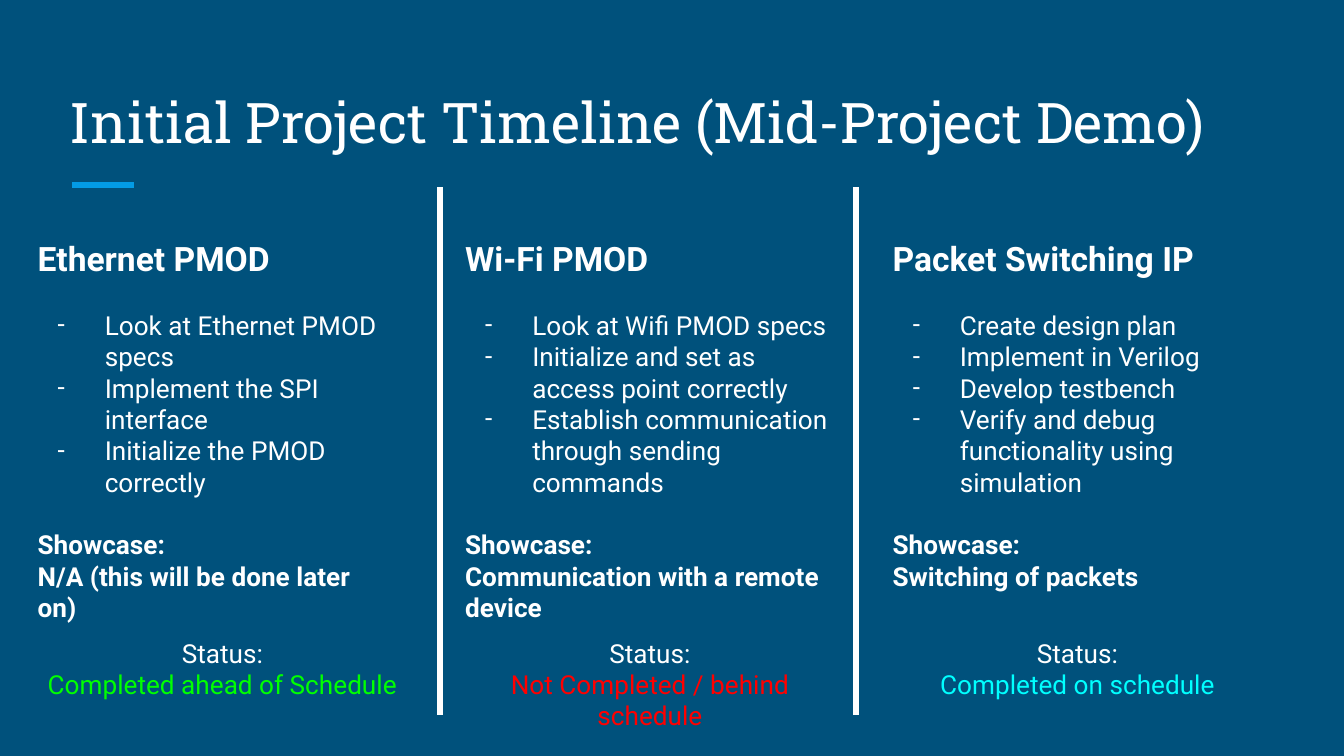
from lxml.etree import SubElement
from pptx import Presentation
from pptx.dml.color import RGBColor
from pptx.enum.shapes import MSO_CONNECTOR
from pptx.enum.text import MSO_ANCHOR, MSO_AUTO_SIZE, PP_ALIGN
from pptx.oxml.ns import qn
from pptx.util import Cm, Pt

WHITE = "FFFFFF"
LINE_GAP = 16.8  # one line of 14 pt text

# Heading, tasks, showcase, status, status colour, body width and height
COLUMNS = [
    ("Ethernet PMOD",
     ["Look at Ethernet PMOD specs", "Implement the SPI interface",
      "Initialize the PMOD correctly"],
     "N/A (this will be done later on)",
     "Completed ahead of Schedule", "00FF00", 7.26, 7.54),
    ("Wi-Fi PMOD",
     ["Look at Wifi PMOD specs", "Initialize and set as access point correctly",
      "Establish communication through sending commands"],
     "Communication with a remote device",
     "Not Completed / behind schedule", "FF0000", 7.49, 8.33),
    ("Packet Switching IP",
     ["Create design plan", "Implement in Verilog", "Develop testbench",
      "Verify and debug functionality using simulation"],
     "Switching of packets",
     "Completed on schedule", "00FFFF", 7.49, 8.59),
]


def color(value):
    return RGBColor.from_string(value)


def fill_text(shape, box, lines, anchor=MSO_ANCHOR.TOP):
    """Place a shape and write (text, size, bold, colour, space before) lines."""
    shape.left, shape.top, shape.width, shape.height = [Cm(value) for value in box]
    frame = shape.text_frame
    frame.text = "\n".join(line[0] for line in lines)
    frame.word_wrap = True
    frame.auto_size = MSO_AUTO_SIZE.NONE
    frame.vertical_anchor = anchor
    frame.margin_left = frame.margin_right = Cm(0.25)
    frame.margin_top = frame.margin_bottom = Cm(0.25)
    for paragraph, (_, size, bold, hex_color, gap) in zip(frame.paragraphs, lines):
        paragraph.space_before = Pt(gap)
        paragraph.alignment = PP_ALIGN.LEFT
        font = paragraph.runs[0].font
        font.name, font.size, font.bold = "Roboto", Pt(size), bold
        font.color.rgb = color(hex_color)
    return frame.paragraphs


presentation = Presentation()
presentation.slide_width, presentation.slide_height = Cm(25.4), Cm(14.29)
slide = presentation.slides.add_slide(presentation.slide_layouts.get_by_name("Comparison"))
slide.background.fill.solid()
slide.background.fill.fore_color.rgb = color("00517C")
title, *bodies = slide.placeholders

# Title
title_line = ("Initial Project Timeline (Mid-Project Demo)", 30, False, WHITE, 0)
heading = fill_text(title, (1.07, 1.27, 23.24, 1.91), [title_line], MSO_ANCHOR.BOTTOM)
heading[0].runs[0].font.name = "Roboto Slab"

# Accent under the title and column dividers
for x1, y1, x2, y2, line_color in [
    (1.37, 3.5, 2.54, 3.5, "039BE5"),
    (8.31, 13.51, 8.31, 3.53, WHITE),
    (16.18, 13.51, 16.18, 3.53, WHITE),
]:
    line = slide.shapes.add_connector(
        MSO_CONNECTOR.STRAIGHT, Cm(x1), Cm(y1), Cm(x2), Cm(y2))
    line.line.color.rgb = color(line_color)
    line.line.width = Pt(3)
    SubElement(line._element.spPr, qn("a:effectLst"))

# Columns
for index, column in enumerate(COLUMNS):
    name, tasks, showcase, status, status_color, width, height = column
    left = 0.46 + 8.08 * index

    # Heading, task list and showcase
    lines = [(name, 18, True, WHITE, 0)]
    lines += [(task, 14, False, WHITE, 0 if number else LINE_GAP)
              for number, task in enumerate(tasks)]
    lines += [("Showcase:", 14, True, WHITE, LINE_GAP), (showcase, 14, True, WHITE, 0)]
    paragraphs = fill_text(bodies[index], (left, 4.24, width, height), lines)
    for number, paragraph in enumerate(paragraphs):
        properties = paragraph._p.get_or_add_pPr()
        is_task = 1 <= number <= len(tasks)
        properties.set("marL", str(Cm(1.27) if is_task else 0))
        properties.set("indent", str(Cm(-0.89) if is_task else 0))
        if is_task:
            bullet_color = SubElement(properties, qn("a:buClr"))
            SubElement(bullet_color, qn("a:srgbClr"), val=WHITE)
            SubElement(properties, qn("a:buFont"), typeface="Roboto")
            SubElement(properties, qn("a:buChar"), char="-")
        else:
            SubElement(properties, qn("a:buNone"))

    # Status
    status_box = slide.shapes.add_textbox(0, 0, 0, 0)
    status_lines = [("Status:", 14, False, WHITE, 0), (status, 14, False, status_color, 0)]
    for paragraph in fill_text(status_box, (left, 11.79, 7.49, 1.52), status_lines):
        paragraph.alignment = PP_ALIGN.CENTER

# The layout has one body more than there are columns
for spare in bodies[len(COLUMNS):]:
    spare._element.getparent().remove(spare._element)

presentation.save("out.pptx")
